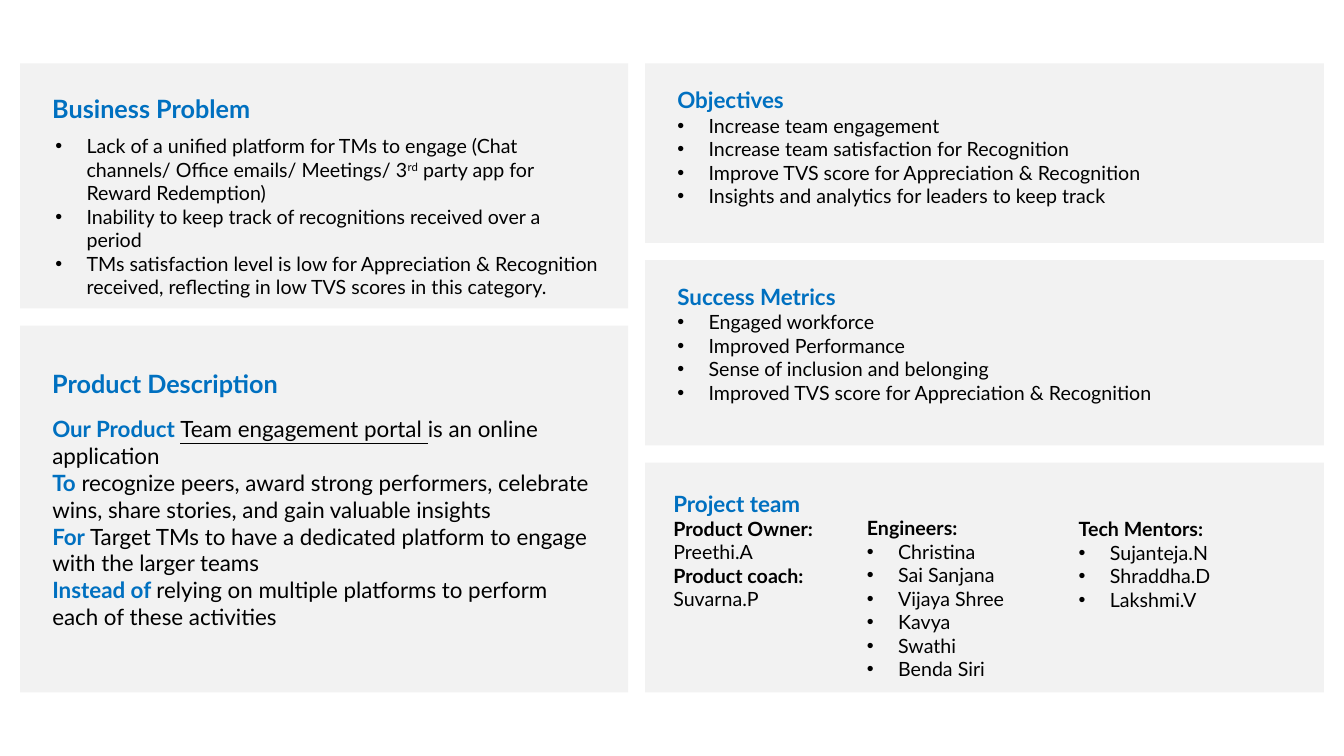
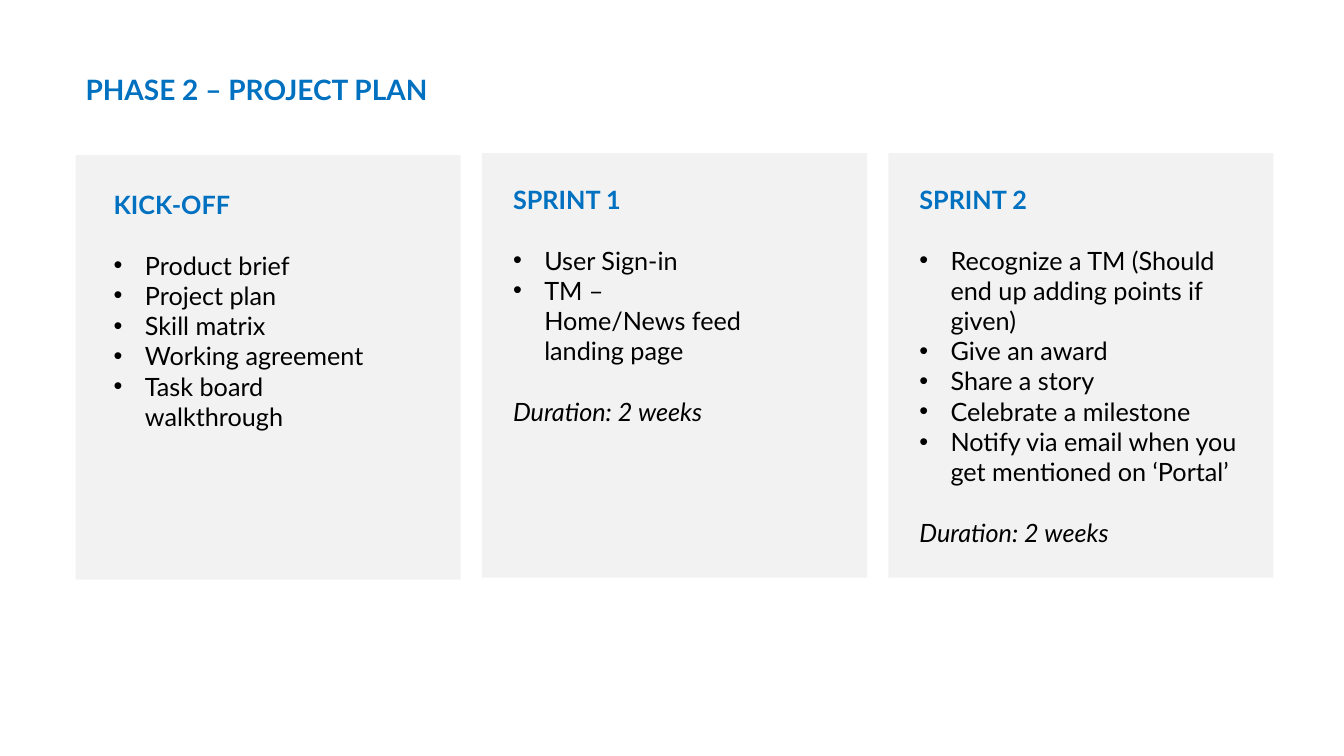
from dataclasses import dataclass

from lxml import etree
from pptx import Presentation
from pptx import util as u
from pptx.dml.color import RGBColor
from pptx.enum import shapes, text
from pptx.oxml import ns

EMU_PER_PX = 9144
FONT = "Lato"
BLUE, BLACK, PANEL = "0070C0", "000000", "F2F2F2"
LOOKS = {
    "head": {"bold": True, "color": BLUE},
    "label": {"bold": True, "color": BLACK},
    "body": {"bold": False, "color": BLACK},
    "link": {"bold": False, "underline": True, "color": BLACK},
    "italic": {"bold": False, "italic": True, "color": BLACK},
    "super": {"bold": False, "color": BLACK},
}
SUPERSCRIPT = "30000"
BULLET_INDENT = 31
BLANK_LINE = 21.6
PANEL_GAP = 17


@dataclass(frozen=True)
class Box:
    x: int
    y: int
    w: int
    h: int


@dataclass(frozen=True)
class Run:
    text: str
    look: str = "body"


@dataclass(frozen=True)
class Para:
    runs: tuple[Run, ...]
    size: int
    bullet: bool = False
    before: float = 0


@dataclass(frozen=True)
class TextBlock:
    box: Box
    paras: list[Para]


def px(n: int) -> u.Emu:
    return u.Emu(n * EMU_PER_PX)


def rgb(color: str) -> RGBColor:
    return RGBColor.from_string(color)


def line(words: str, size: int, look: str = "body", before: float = 0) -> Para:
    return Para((Run(words, look),), size, before=before)


def bullets(size: int, *items: str, before: float = 0) -> list[Para]:
    return [Para((Run(item),), size, True, 0 if i else before)
            for i, item in enumerate(items)]


def add_panel(s, box: Box) -> None:
    sp = s.shapes.add_shape(shapes.MSO_SHAPE.RECTANGLE,
                            px(box.x), px(box.y), px(box.w), px(box.h))
    sp.shadow.inherit = False
    sp.fill.solid()
    sp.fill.fore_color.rgb = rgb(PANEL)
    sp.line.fill.background()


def add_column(s, x: int, y: int, w: int, heights: list[int]) -> None:
    for h in heights:
        add_panel(s, Box(x, y, w, h))
        y += h + PANEL_GAP


def add_bullet(p) -> None:
    ppr = p._p.get_or_add_pPr()
    ppr.set("marL", str(px(BULLET_INDENT)))
    ppr.set("indent", str(-px(BULLET_INDENT)))
    etree.SubElement(ppr, ns.qn("a:buFont")).set("typeface", "Arial")
    etree.SubElement(ppr, ns.qn("a:buChar")).set("char", "•")


def add_run(p, run: Run, size: int) -> None:
    r = p.add_run()
    r.text = run.text
    formats = {"name": FONT, "size": u.Pt(size)} | LOOKS[run.look]
    r.font.color.rgb = rgb(formats.pop("color"))
    for name, value in formats.items():
        setattr(r.font, name, value)
    if run.look == "super":
        r._r.get_or_add_rPr().set("baseline", SUPERSCRIPT)


def add_text(s, block: TextBlock) -> None:
    box = block.box
    tf = s.shapes.add_textbox(px(box.x), px(box.y), px(box.w), px(box.h)).text_frame
    tf.word_wrap = True
    tf.auto_size = text.MSO_AUTO_SIZE.SHAPE_TO_FIT_TEXT
    for i, para in enumerate(block.paras):
        p = tf.add_paragraph() if i else tf.paragraphs[0]
        p.space_before = u.Pt(para.before)
        if para.bullet:
            add_bullet(p)
        for run in para.runs:
            add_run(p, run, para.size)


def add_slide(prs):
    return prs.slides.add_slide(prs.slide_layouts[6])


def pitch(lead: str, *rest: Run) -> Para:
    return Para((Run(lead, "head"), *rest), 16)


def build_overview(prs) -> None:
    s = add_slide(prs)
    add_column(s, 20, 63, 603, [243, 364])
    add_column(s, 640, 63, 673, [178, 184, 228])
    problems = bullets(
        14, "",
        "Inability to keep track of recognitions received over a period",
        "TMs satisfaction level is low for Appreciation & Recognition received, "
        "reflecting in low TVS scores in this category.")
    problems[0] = Para((
        Run("Lack of a unified platform for TMs to engage (Chat channels/ "
            "Office emails/ Meetings/ 3"),
        Run("rd", "super"),
        Run(" party app for Reward Redemption)")), 14, True)
    blocks = [
        TextBlock(Box(42, 88, 273, 40), [line("Business Problem", 18, "head")]),
        TextBlock(Box(45, 128, 559, 151), problems),
        TextBlock(Box(42, 360, 273, 40), [line("Product Description", 18, "head")]),
        TextBlock(Box(42, 407, 559, 226), [
            pitch("Our Product ", Run("Team engagement portal ", "link"),
                  Run("is an online application")),
            pitch("To", Run(" recognize peers, award strong performers, celebrate "
                            "wins, share stories, and gain valuable insights")),
            pitch("For ", Run("Target TMs to have a dedicated platform to engage "
                              "with the larger teams")),
            pitch("Instead of ", Run("relying on multiple platforms to perform "
                                     "each of these activities")),
        ]),
        TextBlock(Box(662, 81, 592, 131), [
            line("Objectives", 16, "head"),
            *bullets(14, "Increase team engagement",
                     "Increase team satisfaction for Recognition",
                     "Improve TVS score for Appreciation & Recognition",
                     "Insights and analytics for leaders to keep track")]),
        TextBlock(Box(662, 276, 612, 131), [
            line("Success Metrics", 16, "head"),
            *bullets(14, "Engaged workforce", "Improved Performance",
                     "Sense of inclusion and belonging",
                     "Improved TVS score for Appreciation & Recognition")]),
        TextBlock(Box(658, 481, 259, 131), [
            line("Project team", 16, "head"),
            line("Product Owner:", 14, "label"), line("Preethi.A", 14),
            line("Product coach:", 14, "label"), line("Suvarna.P", 14)]),
        TextBlock(Box(850, 507, 167, 175), [
            line("Engineers:", 14, "label"),
            *bullets(14, "Christina", "Sai Sanjana", "Vijaya Shree", "Kavya",
                     "Swathi", "Benda Siri")]),
        TextBlock(Box(1060, 508, 167, 104), [
            line("Tech Mentors:", 14, "label"),
            *bullets(14, "Sujanteja.N", "Shraddha.D", "Lakshmi.V")]),
    ]
    for block in blocks:
        add_text(s, block)


def stage(box: Box, title: str, *tasks: str, duration: str = "") -> TextBlock:
    paras = [line(title, 18, "head"), *bullets(18, *tasks, before=BLANK_LINE)]
    if duration:
        paras.append(line(duration, 18, "italic", BLANK_LINE))
    return TextBlock(box, paras)


def build_plan(prs) -> None:
    s = add_slide(prs)
    for i, top in enumerate([154, 152, 152]):
        add_panel(s, Box(75 + 403 * i, top, 382, 421))
    sprint_length = "Duration: 2 weeks"
    blocks = [
        TextBlock(Box(75, 67, 667, 44), [line("PHASE 2 – PROJECT PLAN", 20, "head")]),
        stage(Box(103, 183, 293, 252), "KICK-OFF", "Product brief", "Project plan",
              "Skill matrix", "Working agreement", "Task board walkthrough"),
        stage(Box(499, 178, 254, 222), "SPRINT 1", "User Sign-in",
              "TM – Home/News feed landing page", duration=sprint_length),
        stage(Box(902, 178, 336, 404), "SPRINT 2",
              "Recognize a TM (Should end up adding points if given)",
              "Give an award", "Share a story", "Celebrate a milestone",
              "Notify via email when you get mentioned on ‘Portal’",
              duration=sprint_length),
    ]
    for block in blocks:
        add_text(s, block)


def main() -> None:
    prs = Presentation()
    prs.slide_width, prs.slide_height = px(1333), px(750)
    build_overview(prs)
    build_plan(prs)
    prs.save("out.pptx")


if __name__ == "__main__":
    main()
